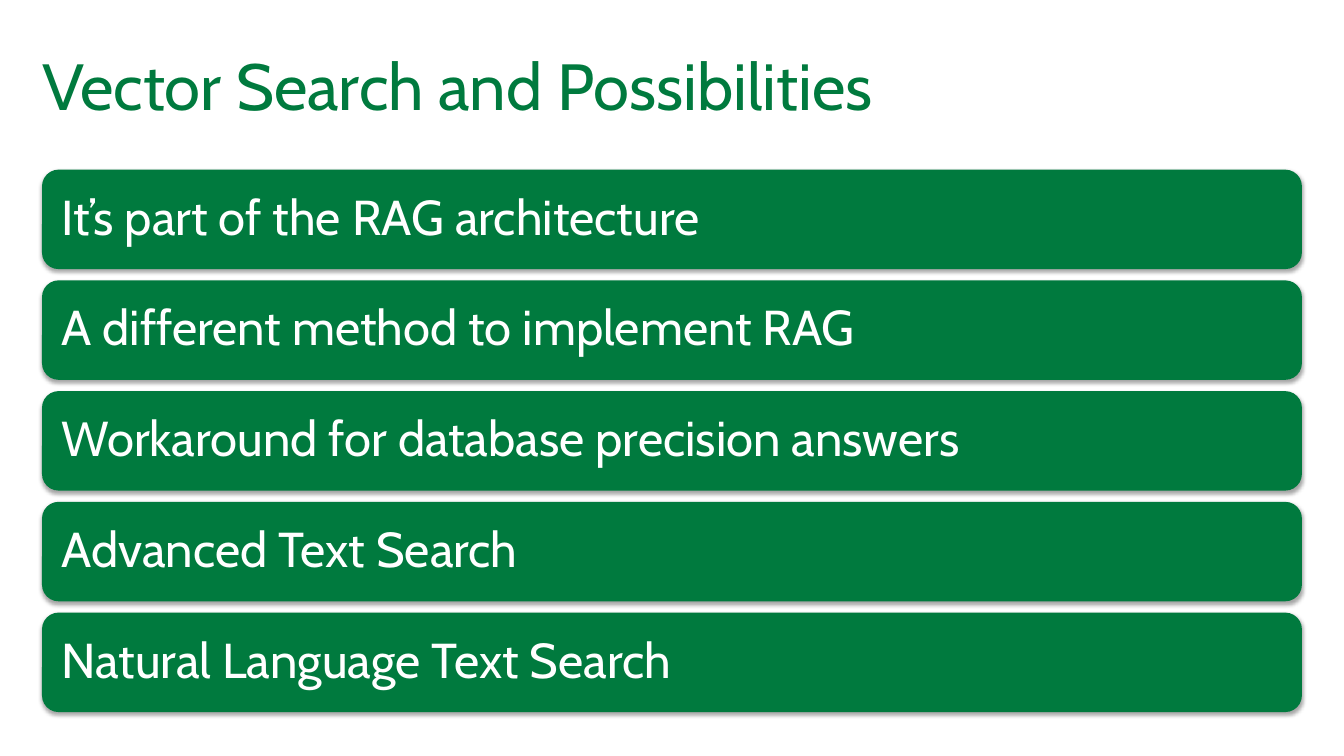
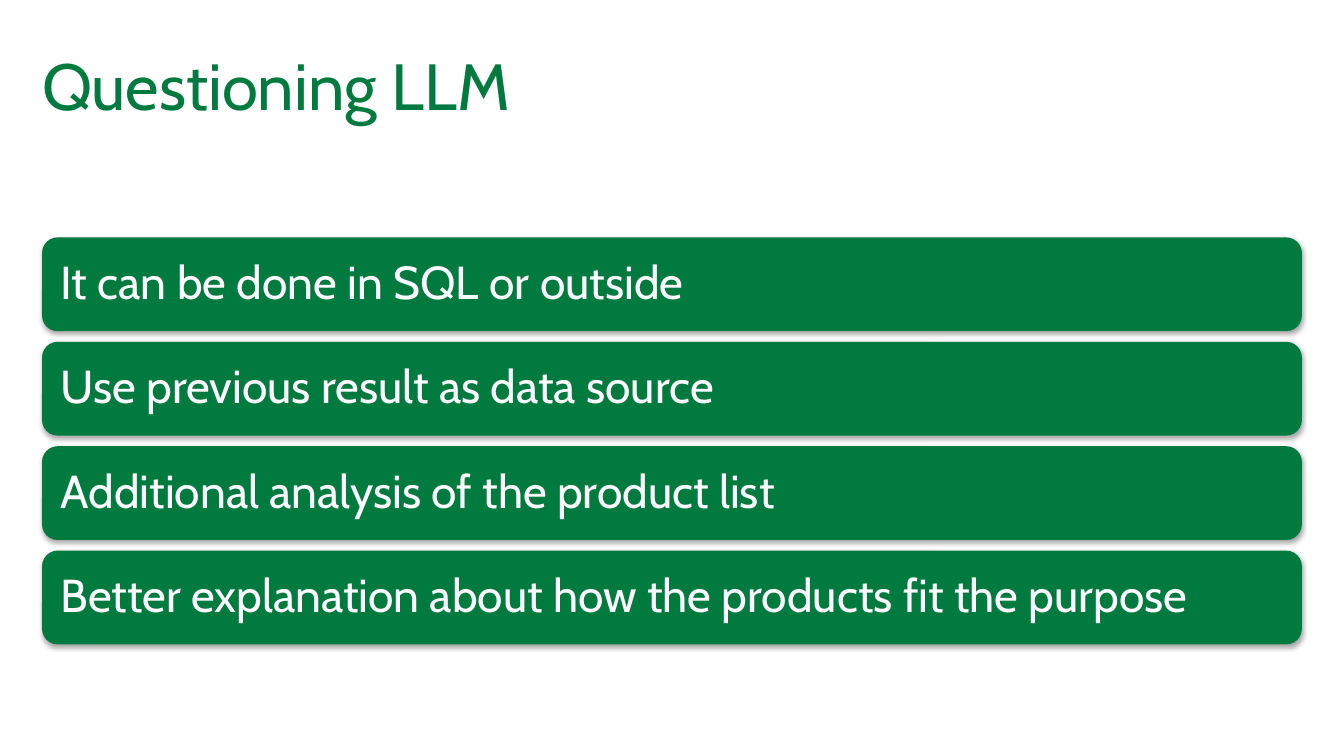
from dataclasses import dataclass

from lxml import etree
from pptx import Presentation
from pptx.dml.color import RGBColor
from pptx.enum.shapes import MSO_SHAPE
from pptx.enum.text import MSO_ANCHOR, PP_ALIGN
from pptx.oxml.ns import qn
from pptx.util import Cm, Pt

ROUNDED = MSO_SHAPE.ROUNDED_RECTANGLE
MIDDLE = MSO_ANCHOR.MIDDLE
LEFT = PP_ALIGN.LEFT
BLANK_LAYOUT = 6

SLIDES = [
    {
        "title": "Vector Search and Possibilities",
        "bar_size": 35,
        "bars": [
            "It’s part of the RAG architecture",
            "A different method to implement RAG",
            "Workaround for database precision answers",
            "Advanced Text Search",
            "Natural Language Text Search",
        ],
    },
    {
        "title": "Questioning LLM",
        "bar_size": 33,
        "bars": [
            "It can be done in SQL or outside",
            "Use previous result as data source",
            "Additional analysis of the product list",
            "Better explanation about how the products fit the purpose",
        ],
    },
]


@dataclass(frozen=True)
class Theme:
    green: RGBColor = RGBColor(0x00, 0x7A, 0x3E)
    white: RGBColor = RGBColor(0xFF, 0xFF, 0xFF)
    font: str = "Cabin"
    title_size: float = 46.6


THEME = Theme()
MARGIN = 1.06
CONTENT_WIDTH = 31.75
TITLE_HEIGHT = 2.12
STACK_MIDDLE = 11.11
# Bar proportions, as multiples of the text height
BAR_HEIGHT = 2.03
BAR_GAP = 0.23
BAR_INSET = 0.3


def write_text(shape, text, size, color, inset=0):
    frame = shape.text_frame
    frame.text = text
    frame.word_wrap = True
    frame.vertical_anchor = MIDDLE
    frame.margin_left = frame.margin_right = inset
    frame.margin_top = frame.margin_bottom = inset
    paragraph = frame.paragraphs[0]
    paragraph.alignment = LEFT
    font = paragraph.runs[0].font
    font.name = THEME.font
    font.size = Pt(size)
    font.color.rgb = color
    return paragraph


def add_soft_shadow(shape):
    shape.shadow.inherit = False
    effects = shape._element.spPr.find(qn("a:effectLst"))
    shadow = etree.SubElement(
        effects, qn("a:outerShdw"), blurRad=str(Pt(3.1)), dist=str(Pt(1.8)),
        dir="5400000", rotWithShape="0")
    color = etree.SubElement(shadow, qn("a:srgbClr"), val="000000")
    etree.SubElement(color, qn("a:alpha"), val="35000")


def add_title(page, text):
    box = page.shapes.add_textbox(
        Cm(MARGIN), Cm(MARGIN), Cm(CONTENT_WIDTH), Cm(TITLE_HEIGHT))
    write_text(box, text, THEME.title_size, THEME.green)


def add_bars(page, texts, size):
    """Stack equal bars around the middle of the content area."""
    text_height = Pt(size).cm
    height = BAR_HEIGHT * text_height
    pitch = height + BAR_GAP * text_height
    top = STACK_MIDDLE - ((len(texts) - 1) * pitch + height) / 2
    for index, text in enumerate(texts):
        bar = page.shapes.add_shape(
            ROUNDED, Cm(MARGIN), Cm(top + index * pitch),
            Cm(CONTENT_WIDTH), Cm(height))
        bar.fill.solid()
        bar.fill.fore_color.rgb = THEME.green
        bar.line.fill.background()
        add_soft_shadow(bar)
        paragraph = write_text(
            bar, text, size, THEME.white, Cm(BAR_INSET * text_height))
        paragraph.line_spacing = 0.9


def main():
    deck = Presentation()
    deck.slide_width = Cm(33.87)
    deck.slide_height = Cm(19.05)
    for content in SLIDES:
        page = deck.slides.add_slide(deck.slide_layouts[BLANK_LAYOUT])
        add_title(page, content["title"])
        add_bars(page, content["bars"], content["bar_size"])
    deck.save("out.pptx")


if __name__ == "__main__":
    main()
